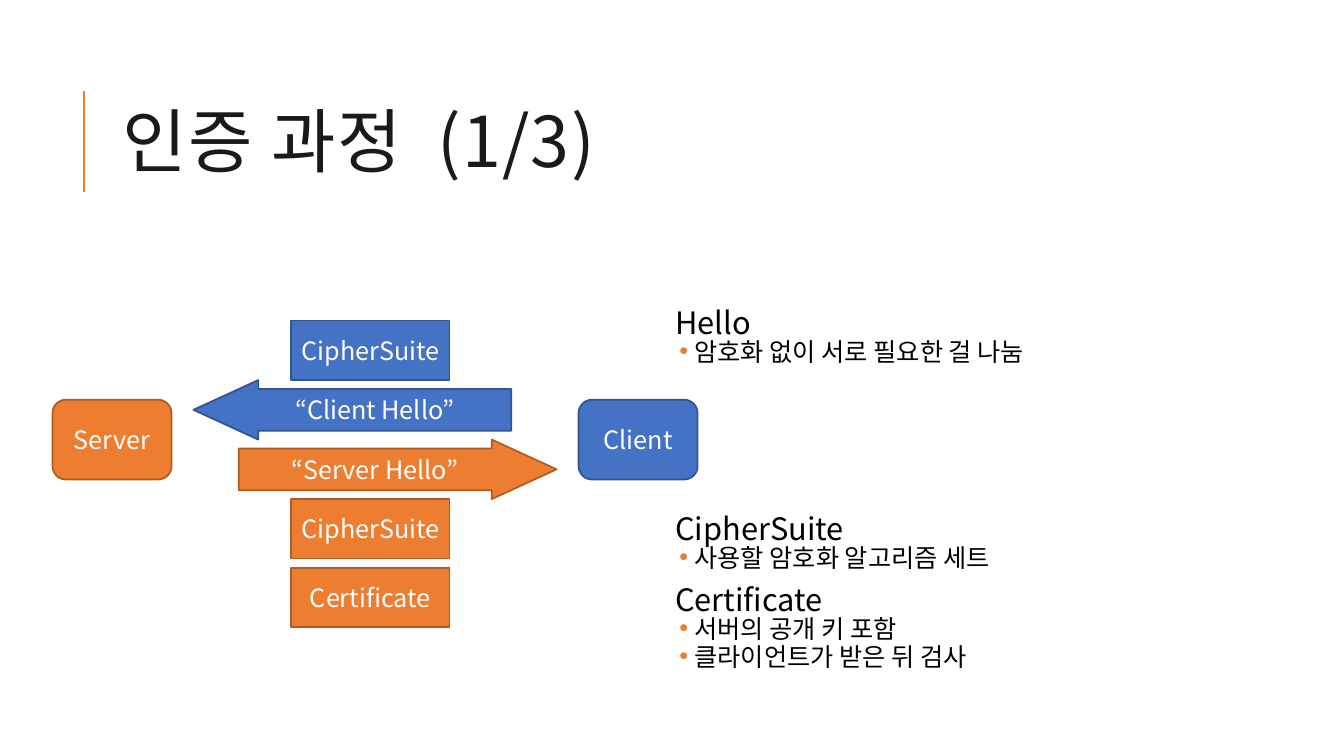
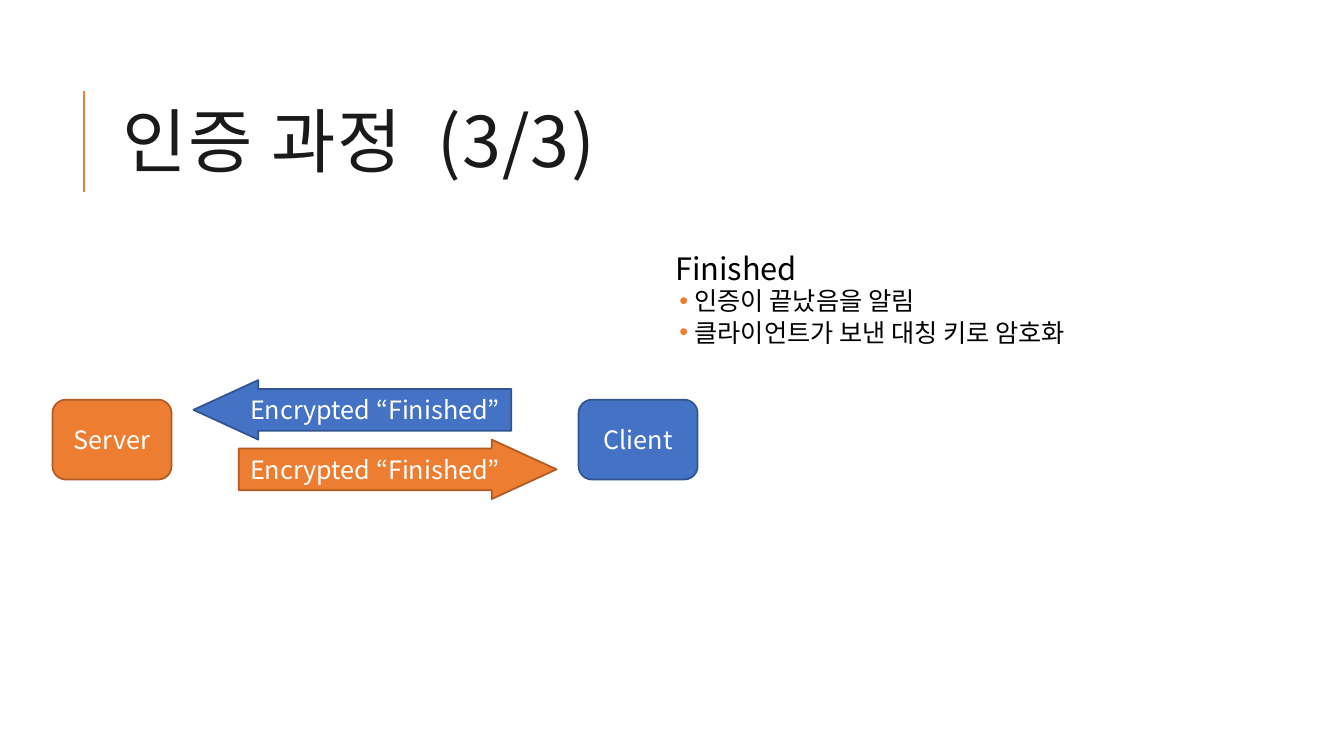
from pptx import Presentation
from pptx.dml.color import RGBColor
from pptx.enum.shapes import MSO_CONNECTOR, MSO_SHAPE as SHAPE
from pptx.enum.text import MSO_ANCHOR as ANCHOR, PP_ALIGN as ALIGN
from pptx.oxml.ns import qn
from pptx.util import Pt
from lxml.etree import SubElement

FONT = "Noto Sans CJK KR"
ORANGE = RGBColor(0xED, 0x7D, 0x31)
ORANGE_EDGE = RGBColor(0xAF, 0x5C, 0x24)
BLUE = RGBColor(0x44, 0x72, 0xC4)
BLUE_EDGE = RGBColor(0x32, 0x54, 0x91)
INK = RGBColor(0x1A, 0x1A, 0x1A)
BLACK = RGBColor(0, 0, 0)
WHITE = RGBColor(0xFF, 0xFF, 0xFF)
SERVER = (ORANGE, ORANGE_EDGE)
CLIENT = (BLUE, BLUE_EDGE)
ROW = 42.5


def add_run(p, text, size, color, spacing=None):
    r = p.add_run()
    r.text = text
    r.font.size = Pt(size)
    r.font.name = FONT
    r.font.color.rgb = color
    rpr = r.font._element
    if spacing is not None:
        rpr.set("spc", str(spacing * 100))
    SubElement(rpr, qn("a:ea")).set("typeface", FONT)


def add_textbox(slide, x, y, w, h, inset_x, inset_y):
    tf = slide.shapes.add_textbox(Pt(x), Pt(y), Pt(w), Pt(h)).text_frame
    tf.word_wrap = True
    tf.margin_left = tf.margin_right = Pt(inset_x)
    tf.margin_top = tf.margin_bottom = Pt(inset_y)
    return tf


def add_title(slide, text, page, x=80.6, y=46, w=765, h=118):
    rule = slide.shapes.add_connector(
        MSO_CONNECTOR.STRAIGHT, Pt(x - 20.6), Pt(y + 91), Pt(x - 20.6), Pt(y + 19))
    rule.line.color.rgb = ORANGE
    rule.line.width = Pt(1.5)
    SubElement(rule._element.spPr, qn("a:effectLst"))
    tf = add_textbox(slide, x, y, w, h, 7.2, 3.6)
    tf.vertical_anchor = ANCHOR.MIDDLE
    p = tf.paragraphs[0]
    p.line_spacing = 0.8
    for part, spacing in ((text, 1), (" ", 13), (page, 1)):
        add_run(p, part, 50, INK, spacing)


def add_notes(slide, y, h, spacing, sections, x=471.6, w=374.4):
    tf = add_textbox(slide, x, y, w, h, 3.6, 3.6)
    lines = [(text, i > 0) for section in sections for i, text in enumerate(section)]
    for i, (text, bullet) in enumerate(lines):
        p = tf.add_paragraph() if i else tf.paragraphs[0]
        p.line_spacing = spacing
        p.space_before = Pt(1.6 if bullet or i == 0 else 9.6)
        p.space_after = Pt(3.2 if bullet else 1.6)
        ppr = p._p.get_or_add_pPr()
        ppr.set("marL", str(Pt(20.9 if bullet else 7.2)))
        ppr.set("indent", str(Pt(-10.8 if bullet else 0)))
        if bullet:
            color = SubElement(ppr, qn("a:buClr"))
            SubElement(color, qn("a:srgbClr")).set("val", str(ORANGE))
            SubElement(ppr, qn("a:buFont")).set("typeface", "Arial")
            SubElement(ppr, qn("a:buChar")).set("char", "•")
        add_run(p, text, 18 if bullet else 22, BLACK)


def add_block(group, kind, x, y, w, h, text, side):
    sp = group.shapes.add_shape(kind, Pt(x), Pt(y), Pt(w), Pt(h))
    sp.shadow.inherit = False
    fill, edge = side
    sp.fill.solid()
    sp.fill.fore_color.rgb = fill
    sp.line.color.rgb = edge
    sp.line.width = Pt(1.25)
    tf = sp.text_frame
    tf.word_wrap = True
    tf.vertical_anchor = ANCHOR.MIDDLE
    p = tf.paragraphs[0]
    p.alignment = ALIGN.CENTER
    add_run(p, text, 18, WHITE)
    return sp


def add_exchange(slide, request, reply, request_part=None, reply_parts=(), x=37.5, y=229):
    group = slide.shapes.add_group_shape()
    node_h = 57
    node_y = y + 2 * ROW - node_h / 2
    for name, dx, side in (("Server", 0, SERVER), ("Client", 375.8, CLIENT)):
        add_block(group, SHAPE.ROUNDED_RECTANGLE, x + dx, node_y, 85, node_h, name, side)
    arrows = ((SHAPE.LEFT_ARROW, 100.7, 1, request, CLIENT),
              (SHAPE.RIGHT_ARROW, 133.1, 2, reply, SERVER))
    for kind, dx, row, text, side in arrows:
        arrow = add_block(group, kind, x + dx, y + row * ROW, 227, ROW, text, side)
        arrow.adjustments[0] = 0.7
        arrow.adjustments[1] = 1.09
    parts = [(request_part, 0, CLIENT)] if request_part else []
    parts += [(text, 3 * ROW + i * (ROW + 6.5), SERVER) for i, text in enumerate(reply_parts)]
    for text, dy, side in parts:
        add_block(group, SHAPE.RECTANGLE, x + 170.6, y + dy, 113, ROW, text, side)


def add_hello_slide(prs):
    slide = prs.slides.add_slide(prs.slide_layouts[6])
    add_title(slide, "인증 과정", "(1/3)")
    add_notes(slide, 220.4, 60, 0.72, [("Hello", "암호화 없이 서로 필요한 걸 나눔")])
    add_notes(slide, 367.2, 130, 0.72, [
        ("CipherSuite", "사용할 암호화 알고리즘 세트"),
        ("Certificate", "서버의 공개 키 포함", "클라이언트가 받은 뒤 검사"),
    ])
    add_exchange(slide, "“Client Hello”", "“Server Hello”",
                 "CipherSuite", ("CipherSuite", "Certificate"))


def add_finished_slide(prs):
    slide = prs.slides.add_slide(prs.slide_layouts[6])
    add_title(slide, "인증 과정", "(3/3)")
    add_notes(slide, 180, 90, 0.81, [
        ("Finished", "인증이 끝났음을 알림", "클라이언트가 보낸 대칭 키로 암호화"),
    ])
    add_exchange(slide, "Encrypted “Finished”", "Encrypted “Finished”")


def main():
    prs = Presentation()
    prs.slide_width, prs.slide_height = Pt(960), Pt(540)
    add_hello_slide(prs)
    add_finished_slide(prs)
    prs.save("out.pptx")


if __name__ == "__main__":
    main()
